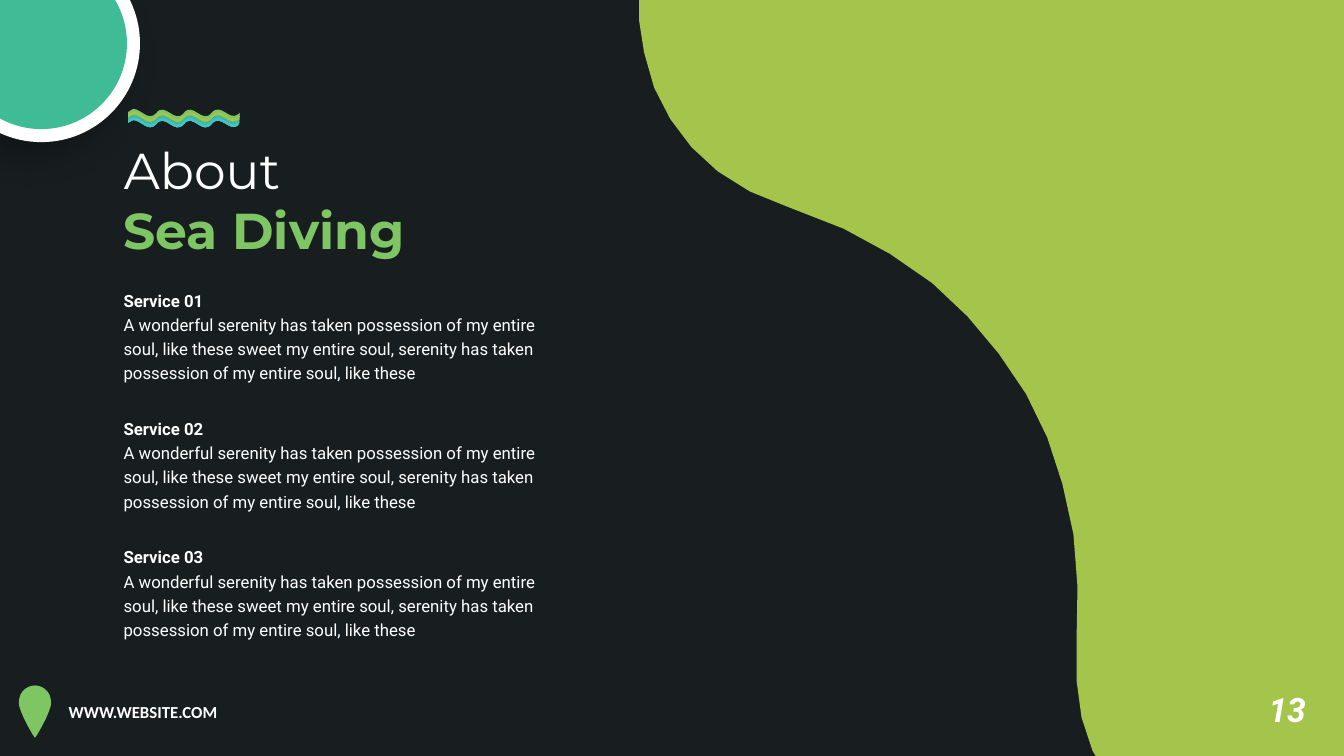
"""Build the "About Sea Diving" slide."""
import math

from lxml import etree
from pptx import Presentation
from pptx.dml.color import RGBColor
from pptx.enum import text
from pptx.oxml import ns
from pptx.util import Pt

COLORS = {
    "night": "181E20",
    "white": "FFFFFF",
    "lime": "A5C44B",
    "green": "7EC564",
    "teal": "3FBC96",
    "aqua": "40C2D2",
    "shadow": "000000",
}
COAST = [
    (0, 0), (0, 14.4), (3.6, 37.4), (10.8, 62.6), (22.3, 85), (37.4, 105.1),
    (56.2, 122.4), (79.2, 136.8), (105.8, 147.6), (146.2, 163.4),
    (179.3, 181.4), (209.5, 202.3), (234.7, 226.1), (257, 252.7),
    (276.5, 281.5), (291.6, 312.5), (302.4, 345.6), (310.3, 381.6),
    (313.2, 419), (312.5, 458.6), (312.5, 486), (316.1, 512.6),
    (324, 536.4), (326.2, 540),
]
PIN_SIDE = [
    (0, 0), (2.6, 0.3), (5, 1.2), (7.2, 2.6), (9, 4.4), (10.4, 6.7),
    (11.2, 9.4), (11.5, 12.3), (11.3, 14.5), (10, 18.5), (7.8, 23.7),
    (4.7, 29.7), (1.7, 35), (0, 37.4),
]
WAVE = [
    (3.6, -2.9), (9.4, -2.9), (14.4, 6.5), (20.2, 0), (26.6, -8.3),
    (33.2, 8.3), (39.8, 0), (46.4, -8.3), (53, 8.3), (59.6, 0),
    (66.2, -7.9), (72.2, 6.1), (78.5, 1),
]
SERVICES = ["Service 01", "Service 02", "Service 03"]
SERVICE_TEXT = (
    "A wonderful serenity has taken possession of my entire soul, like these "
    "sweet my entire soul, serenity has taken possession of my entire soul, "
    "like these"
)


def rgb(name):
    """Return the named colour."""
    return RGBColor.from_string(COLORS[name])


def lines_to(points):
    """Return one straight step for each point."""
    return [(point,) for point in points]


def curves_to(points):
    """Return one curved step for every two handles and end point."""
    return [tuple(points[i:i + 3]) for i in range(0, len(points), 3)]


def add_outline(shapes, steps, color, left=0, top=0):
    """Add a filled outline of straight and curved steps."""
    steps = [[(Pt(left + x), Pt(top + y)) for x, y in step] for step in steps]
    builder = shapes.build_freeform(*steps[0][-1])
    builder.add_line_segments([step[-1] for step in steps[1:]], close=True)
    sp = builder.convert_to_shape()
    sides = list(sp._element.iter(ns.qn("a:lnTo")))
    for side, step in zip(sides, steps[1:]):
        if len(step) == 3:
            curve = etree.Element(ns.qn("a:cubicBezTo"))
            for x, y in step:
                etree.SubElement(curve, ns.qn("a:pt"),
                                 x=str(x - sp.left), y=str(y - sp.top))
            side.getparent().replace(side, curve)
    sp.fill.solid()
    sp.fill.fore_color.rgb = rgb(color)
    sp.line.fill.background()
    sp.shadow.inherit = False
    return sp


def fill_text(tf, lines, font, size, spacing=None, italic=False):
    """Write (wording, colour, bold) lines as paragraphs of a text frame."""
    for i, (wording, color, bold) in enumerate(lines):
        p = tf.add_paragraph() if i else tf.paragraphs[0]
        p.text = wording
        p.alignment = text.PP_ALIGN.LEFT
        p.line_spacing = spacing
        p.font.name = font
        p.font.size = Pt(size)
        p.font.bold = bold
        p.font.italic = italic
        p.font.color.rgb = rgb(color)


def add_label(s, box, lines, font, size, wrap=True, **style):
    """Add a text box at (left, top, width, height)."""
    tf = s.shapes.add_textbox(*map(Pt, box)).text_frame
    tf.word_wrap = wrap
    tf.auto_size = text.MSO_AUTO_SIZE.SHAPE_TO_FIT_TEXT
    fill_text(tf, lines, font, size, **style)


def add_coast(s, left, top, width, height):
    """Draw the lime area that fills the right of the slide."""
    points = COAST + [(width, height), (width, 0)]
    add_outline(s.shapes, lines_to(points), "lime", left, top)


def arc_step(cx, cy, r, start, end):
    """Return the curved step along a circle between two angles."""
    k = 4 / 3 * math.tan((end - start) / 4)
    turns = ((start, k), (end, -k), (end, 0))
    return tuple((cx + r * (math.cos(a) - h * math.sin(a)),
                  cy + r * (math.sin(a) + h * math.cos(a)))
                 for a, h in turns)


def add_corner_disc(s, cx, cy, rim, radius):
    """Draw a rimmed disc cut off by the top left corner of the slide."""
    group = s.shapes.add_group_shape()
    for r, color in ((rim, "white"), (radius, "teal")):
        angles = [-math.asin(cy / r), 0, math.pi / 2,
                  math.pi - math.acos(cx / r)]
        steps = lines_to([(0, 0), (cx + math.sqrt(r * r - cy * cy), 0)])
        steps += [arc_step(cx, cy, r, *ends)
                  for ends in zip(angles, angles[1:])]
        sp = add_outline(group.shapes, steps, color)
        if color == "white":
            add_shadow(sp)


def add_shadow(sp):
    """Give a shape a soft shadow to the lower left."""
    effects = sp._element.spPr.find(ns.qn("a:effectLst"))
    shadow = etree.SubElement(
        effects, ns.qn("a:outerShdw"), blurRad=str(Pt(23)), dist=str(Pt(15)),
        dir="8100000", algn="tr", rotWithShape="0")
    color = etree.SubElement(shadow, ns.qn("a:srgbClr"), val=COLORS["shadow"])
    etree.SubElement(color, ns.qn("a:alpha"), val="29000")


def add_waves(s, left, top, width):
    """Draw four stacked wave bands that share their lower edge."""
    group = s.shapes.add_group_shape()
    for i, color in enumerate(("green", "lime", "teal", "aqua")):
        level, base = 2.9 + 2 * i, 10.8
        upper = [(x, level + y) for x, y in WAVE]
        lower = [(x, base + y) for x, y in reversed(WAVE)]
        steps = lines_to([(0, level - 0.7), upper[0]]) + curves_to(upper[1:])
        steps += lines_to([(width, level), lower[0]]) + curves_to(lower[1:])
        steps += lines_to([(0, base - 1)])
        add_outline(group.shapes, steps, color, left, top)


def add_heading(s, left, top, width, height):
    """Place the two-line title."""
    sp = s.shapes.title
    sp.left, sp.top, sp.width, sp.height = map(Pt, (left, top, width, height))
    tf = sp.text_frame
    tf.word_wrap = True
    tf.auto_size = text.MSO_AUTO_SIZE.NONE
    tf.vertical_anchor = text.MSO_ANCHOR.TOP
    fill_text(tf, [("About", "white", False), ("Sea Diving", "green", True)],
              "Montserrat", 36)


def add_services(s, left, top, width, height):
    """Stack the service texts evenly in the box."""
    step = height / len(SERVICES)
    for i, service in enumerate(SERVICES):
        lines = [(service, "white", True), (SERVICE_TEXT, "white", False)]
        add_label(s, (left, top + i * step, width, 75.6), lines,
                  "Roboto", 12, spacing=1.2)


def add_footer(s, left, top, width):
    """Place the pin, the web address and the slide number."""
    mirrored = [(-x, y) for x, y in PIN_SIDE[-2:0:-1]]
    add_outline(s.shapes, lines_to(PIN_SIDE + mirrored), "green",
                left + 25, top)
    add_label(s, (left + 42, top + 8, 182, 21.6),
              [("WWW.WEBSITE.COM", "white", True)], "Calibri", 12)
    add_label(s, (left + width - 61, top - 0.7, 42.5, 36),
              [("13", "white", True)], "Roboto", 24, wrap=False, italic=True)


def main():
    """Build and save the presentation."""
    prs = Presentation()
    prs.slide_width, prs.slide_height = Pt(960), Pt(540)
    s = prs.slides.add_slide(prs.slide_layouts[5])
    s.background.fill.solid()
    s.background.fill.fore_color.rgb = rgb("night")
    add_coast(s, 456.5, 0, 503.5, 540)
    add_corner_disc(s, 29.5, 31, 70.5, 61.2)
    add_waves(s, 91.5, 77.8, 79.9)
    add_heading(s, 81.2, 95.5, 271.4, 94.3)
    add_services(s, 81.2, 201, 332, 275.1)
    add_footer(s, 0, 489.6, 960)
    prs.save("out.pptx")


if __name__ == "__main__":
    main()
